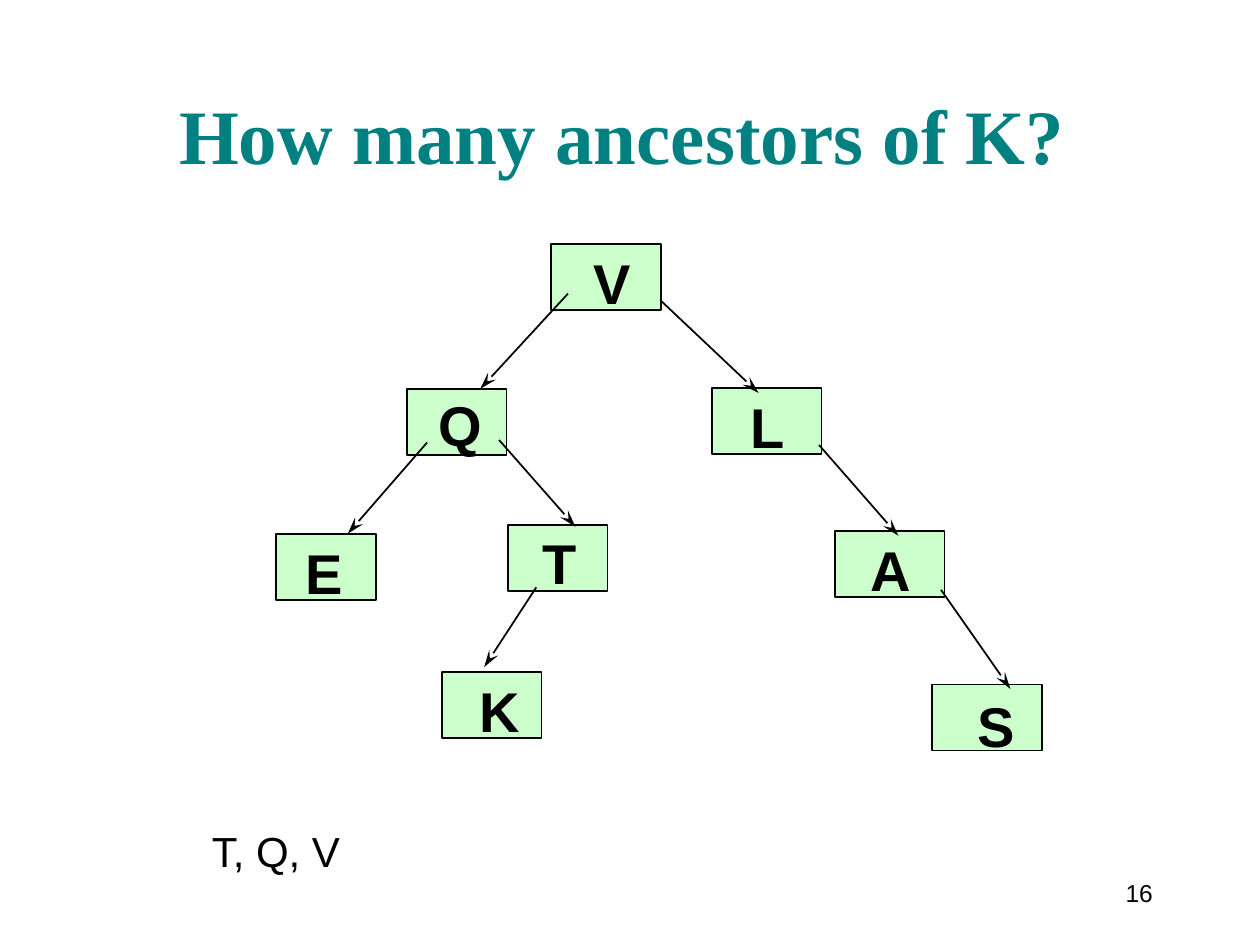
import lxml.etree
import pptx
import pptx.dml.color
import pptx.enum.shapes
import pptx.enum.text
import pptx.oxml.ns
import pptx.util

Cm = pptx.util.Cm
Align = pptx.enum.text.PP_ALIGN
Anchor = pptx.enum.text.MSO_ANCHOR

BLACK = "000000"
TEAL = "008080"
PALE_GREEN = "CCFFCC"
NARROW, WIDE = 2.01, 2.21
BOX_HEIGHT, LABEL_HEIGHT = 1.33, 1.6

# letter: (box left, box top, box width, label left, label top, label width)
NODES = {
    "V": (11.11, 4.92, WIDE, 11.0, 4.88, 2.67),
    "Q": (8.2, 7.85, NARROW, 7.89, 7.75, 2.79),
    "L": (14.35, 7.83, WIDE, 14.17, 7.79, 2.62),
    "A": (16.83, 10.71, WIDE, 16.83, 10.68, 2.26),
    "S": (18.79, 13.8, WIDE, 18.75, 13.82, 2.67),
    "E": (5.57, 10.77, NARROW, 5.21, 10.73, 2.67),
    "T": (10.24, 10.59, NARROW, 9.98, 10.53, 2.62),
    "K": (8.91, 13.55, NARROW, 8.71, 13.51, 2.74),
}
EDGES = (
    (13.31, 6.05, 15.29, 7.92),
    (16.51, 8.97, 18.11, 10.8),
    (18.97, 11.89, 20.37, 13.89),
    (10.06, 8.87, 11.6, 10.62),
    (8.61, 8.92, 7.01, 10.76),
    (10.81, 11.84, 9.76, 13.45),
    (11.45, 5.92, 9.68, 7.84),
)


def color(value):
    """Return the colour for a hex string."""
    return pptx.dml.color.RGBColor.from_string(value)


def write(shape, text, size, font="Arial", fill=BLACK, bold=False,
          align=Align.LEFT, anchor=Anchor.TOP):
    """Put one formatted line of text into a shape."""
    frame = shape.text_frame
    frame.text = text
    frame.word_wrap = True
    frame.vertical_anchor = anchor
    paragraph = frame.paragraphs[0]
    paragraph.alignment = align
    run_font = paragraph.runs[0].font
    run_font.name = font
    run_font.size = pptx.util.Pt(size)
    run_font.bold = bold
    run_font.color.rgb = color(fill)


def add_title(slide, text):
    """Place and fill the title placeholder."""
    title = slide.shapes.title
    title.left, title.top, title.width, title.height = (
        Cm(1.65), Cm(0.58), Cm(21.79), Cm(3.18))
    write(title, text, 44, "Times New Roman", TEAL, True, Align.CENTER, Anchor.BOTTOM)


def add_text(slide, left, top, width, height, text, size, **style):
    """Add a text box."""
    box = slide.shapes.add_textbox(Cm(left), Cm(top), Cm(width), Cm(height))
    write(box, text, size, **style)


def add_node_box(slide, left, top, width):
    """Add the rectangle of one tree node."""
    shape = slide.shapes.add_shape(pptx.enum.shapes.MSO_SHAPE.RECTANGLE,
                                   Cm(left), Cm(top), Cm(width), Cm(BOX_HEIGHT))
    shape.shadow.inherit = False
    shape.fill.solid()
    shape.fill.fore_color.rgb = color(PALE_GREEN)
    shape.line.color.rgb = color(BLACK)
    shape.line.width = pptx.util.Pt(1)


def add_edge(slide, *ends):
    """Add an arrow from a parent node to its child."""
    connector = slide.shapes.add_connector(pptx.enum.shapes.MSO_CONNECTOR.STRAIGHT,
                                           *(Cm(value) for value in ends))
    connector.line.color.rgb = color(BLACK)
    connector.line.width = pptx.util.Pt(1)
    qualify = pptx.oxml.ns.qn
    properties = connector._element.spPr
    lxml.etree.SubElement(properties.find(qualify("a:ln")), qualify("a:tailEnd"),
                          type="stealth", w="med", len="lg")
    lxml.etree.SubElement(properties, qualify("a:effectLst"))


def add_tree(slide):
    """Add the tree: boxes, then arrows, then letters."""
    for left, top, width, *_ in NODES.values():
        add_node_box(slide, left, top, width)
    for ends in EDGES:
        add_edge(slide, *ends)
    for letter, (*_, left, top, width) in NODES.items():
        add_text(slide, left, top, width, LABEL_HEIGHT, letter, 32,
                 bold=True, align=Align.CENTER)


def main():
    """Build and save the slide."""
    presentation = pptx.Presentation()
    presentation.slide_width, presentation.slide_height = Cm(25.4), Cm(19.05)
    slide = presentation.slides.add_slide(presentation.slide_layouts[5])
    add_text(slide, 21.79, 17.36, 1.7, 1.27, "16", 14,
             align=Align.RIGHT, anchor=Anchor.MIDDLE)
    add_title(slide, "How many ancestors of K?")
    add_tree(slide)
    add_text(slide, 4.02, 16.51, 9.96, 1.27, "T, Q, V", 24)
    presentation.save("out.pptx")


if __name__ == "__main__":
    main()
